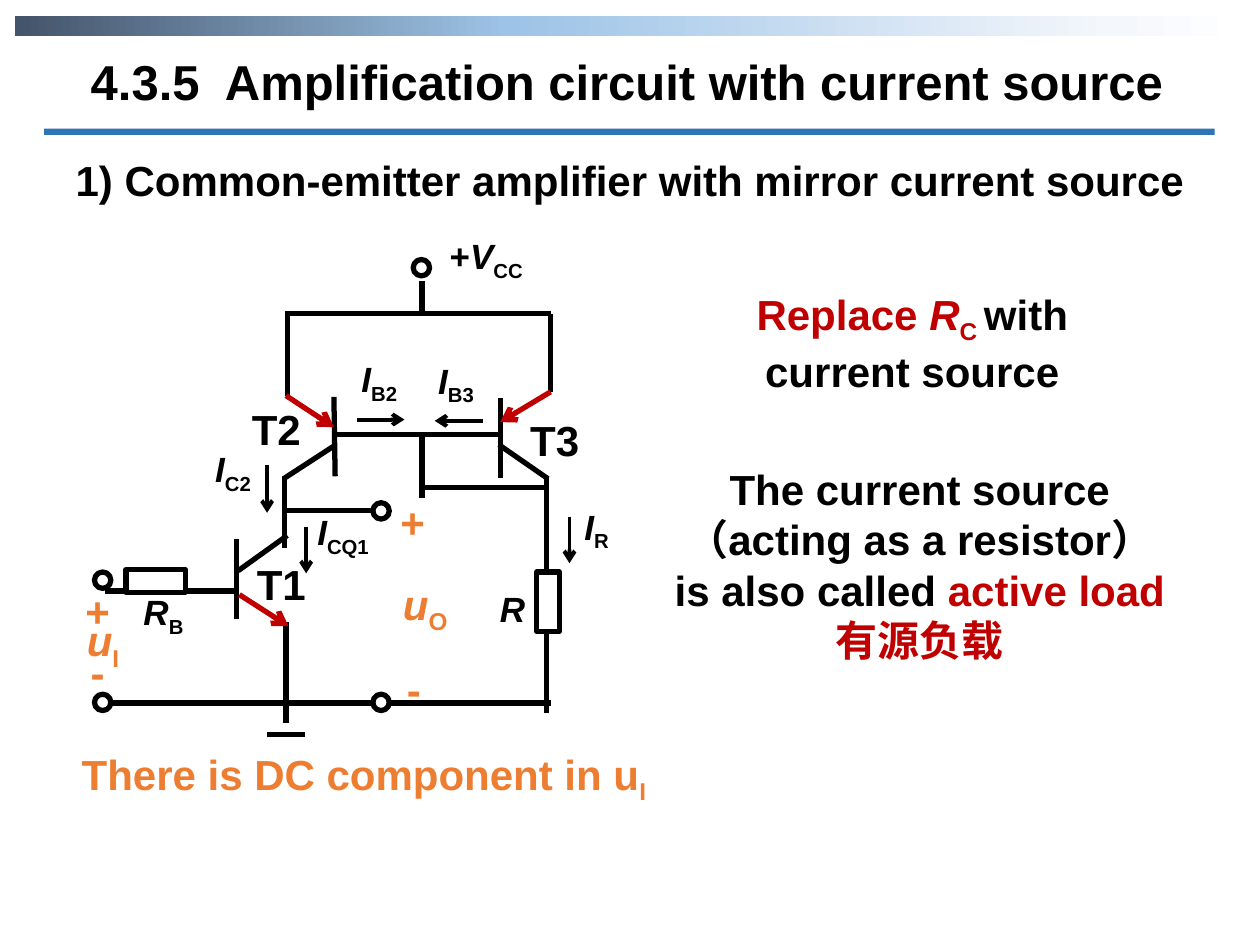
from copy import deepcopy
from dataclasses import dataclass

from lxml.etree import SubElement
from pptx import Presentation
from pptx.dml.color import RGBColor
from pptx.enum.shapes import MSO_CONNECTOR, MSO_SHAPE
from pptx.enum.text import MSO_ANCHOR, MSO_AUTO_SIZE, PP_ALIGN
from pptx.oxml.ns import qn
from pptx.util import Inches, Pt


@dataclass(frozen=True)
class Theme:
    black: RGBColor = RGBColor(0, 0, 0)
    white: RGBColor = RGBColor(255, 255, 255)
    red: RGBColor = RGBColor(0xC0, 0, 0)
    orange: RGBColor = RGBColor(0xED, 0x7D, 0x31)
    blue: RGBColor = RGBColor(0x2E, 0x75, 0xB6)
    band: tuple = ((0, "44546A"), (0.4, "9DC3E6"), (0.89, "F4F7FC"), (1, "FFFFFF"))
    font: str = "Arial"
    chinese_font: str = "Noto Sans CJK SC"
    title: Pt = Pt(28)
    text: Pt = Pt(24)
    label: Pt = Pt(20)
    wire: Pt = Pt(3)
    arrow: Pt = Pt(2.25)


theme = Theme()
ITALIC = {"italic": True}
SUB = {"baseline": "-25000"}


def write(box, place, runs, size, color=theme.black, align=PP_ALIGN.LEFT):
    """Place a text box or placeholder and fill it with (text, format) runs."""
    box.left, box.top, box.width, box.height = (Inches(v) for v in place)
    frame = box.text_frame
    frame.word_wrap = True
    frame.auto_size = MSO_AUTO_SIZE.NONE
    frame.vertical_anchor = MSO_ANCHOR.TOP
    paragraph = frame.paragraphs[0]
    paragraph.alignment = align
    paragraph.space_before = Pt(0)
    for text, changes in runs:
        run = paragraph.add_run()
        run.text = text
        values = {"size": size, "bold": True, "italic": False, "name": theme.font} | changes
        run.font.color.rgb = values.pop("color", color)
        baseline = values.pop("baseline", None)
        for key, value in values.items():
            setattr(run.font, key, value)
        properties = run._r.get_or_add_rPr()
        SubElement(properties, qn("a:ea")).set("typeface", theme.chinese_font)
        if baseline:
            properties.set("baseline", baseline)


def add_line(start, end, color=theme.black, width=theme.wire, arrow=False):
    """Draw a straight line, with an arrowhead at its end if wanted."""
    line = slide.shapes.add_connector(
        MSO_CONNECTOR.STRAIGHT, *(Inches(v) for v in (*start, *end)))
    line.line.color.rgb = color
    line.line.width = width
    if arrow:
        SubElement(line.line._get_or_add_ln(), qn("a:tailEnd")).set("type", "arrow")
    SubElement(line._element.spPr, qn("a:effectLst"))


presentation = Presentation()
presentation.slide_width, presentation.slide_height = Inches(10), Inches(7.5)
slide = presentation.slides.add_slide(presentation.slide_layouts[1])
title, heading = slide.placeholders

# Gradient band at the top and rule below the title
band = slide.shapes.add_shape(
    MSO_SHAPE.RECTANGLE, Inches(0.12), Inches(0.13), Inches(9.76), Inches(0.16))
rule = slide.shapes.add_shape(
    MSO_SHAPE.RECTANGLE, Inches(0.35), Inches(1.02), Inches(9.29), Inches(0.05))
for bar in (band, rule):
    bar.shadow.inherit = False
    bar.line.fill.background()
rule.fill.solid()
rule.fill.fore_color.rgb = theme.blue
band.fill.gradient()
band.fill.gradient_angle = 0
stop_list = band._element.spPr.find(".//" + qn("a:gsLst"))
while len(stop_list) < len(theme.band):
    stop_list.append(deepcopy(stop_list[0]))
for stop, (position, color) in zip(band.fill.gradient_stops, theme.band):
    stop.position = position
    stop.color.rgb = RGBColor.from_string(color)

# Title and heading
write(title, (0.58, 0.36, 8.79, 0.57),
      [("4.3.5  Amplification circuit with current source", {})],
      theme.title, align=PP_ALIGN.CENTER)
write(heading, (0.5, 1.18, 9.11, 0.5),
      [("1) Common-emitter amplifier with mirror current source", {})],
      theme.text, align=PP_ALIGN.JUSTIFY)
heading_format = heading.text_frame.paragraphs[0]._p.get_or_add_pPr()
heading_format.set("marL", "0")
heading_format.set("indent", "0")
SubElement(heading_format, qn("a:buNone"))

# Wires
wires = [
    ((3.35, 2.23), (3.35, 2.48)),  # supply
    ((4.37, 2.49), (2.26, 2.49)),
    ((2.28, 2.49), (2.28, 3.14)),
    ((4.37, 2.49), (4.37, 3.11)),
    ((2.65, 3.15), (2.66, 3.78)),  # T2
    ((2.25, 3.80), (2.65, 3.54)),
    ((3.97, 3.16), (3.97, 3.79)),  # T3
    ((4.35, 3.80), (3.96, 3.53)),
    ((3.97, 3.45), (2.65, 3.45)),  # mirror
    ((3.35, 3.45), (3.35, 3.95)),
    ((4.35, 3.87), (3.35, 3.87)),
    ((1.88, 4.28), (1.88, 4.91)),  # T1
    ((2.28, 4.25), (1.89, 4.53)),
    ((2.26, 3.78), (2.26, 4.35)),
    ((2.27, 4.94), (2.27, 5.74)),
    ((1.88, 4.69), (0.83, 4.69)),  # input
    ((2.96, 4.05), (2.26, 4.05)),  # output
    ((4.34, 3.79), (4.34, 5.66)),  # reference branch
    ((4.37, 5.58), (0.83, 5.58)),  # ground
    ((2.12, 5.83), (2.42, 5.83)),
]
for start, end in wires:
    add_line(start, end)

# Emitters of T2, T3 and T1
emitters = [((2.27, 3.14), (2.65, 3.39)), ((4.37, 3.11), (3.97, 3.35)),
            ((1.90, 4.72), (2.29, 4.97))]
for start, end in emitters:
    add_line(start, end, theme.red, arrow=True)

# Current directions
currents = [((4.52, 4.10), (4.52, 4.47)), ((2.12, 3.69), (2.12, 4.07)),
            ((2.43, 4.18), (2.43, 4.55)), ((2.83, 3.33), (3.21, 3.33)),
            ((3.83, 3.34), (3.45, 3.34))]
for start, end in currents:
    add_line(start, end, width=theme.arrow, arrow=True)

# Resistors and terminals
terminals = [(3.28, 2.06), (0.75, 4.54), (0.75, 5.51), (2.96, 3.99), (2.96, 5.51)]
parts = [(MSO_SHAPE.RECTANGLE, (4.26, 4.54, 0.18, 0.47)),
         (MSO_SHAPE.RECTANGLE, (1.0, 4.52, 0.47, 0.18))]
parts += [(MSO_SHAPE.OVAL, (x, y, 0.13, 0.13)) for x, y in terminals]
for outline, place in parts:
    part = slide.shapes.add_shape(outline, *(Inches(v) for v in place))
    part.shadow.inherit = False
    part.fill.solid()
    part.fill.fore_color.rgb = theme.white
    part.line.color.rgb = theme.black
    part.line.width = theme.wire

# Circuit labels
small, large = (theme.label, theme.black), (theme.text, theme.black)
signal = (theme.text, theme.orange)
labels = [
    ((3.47, 1.81, 0.87, 0.52), [("+", {}), ("V", ITALIC), ("CC", SUB)], small),
    ((2.77, 2.79, 0.54, 0.52), [("I", ITALIC), ("B2", SUB)], small),
    ((3.38, 2.80, 0.54, 0.52), [("I", ITALIC), ("B3", SUB)], small),
    ((1.61, 3.50, 0.54, 0.52), [("I", ITALIC), ("C2", SUB)], small),
    ((2.42, 4.00, 0.70, 0.52), [("I", ITALIC), ("CQ1", SUB)], small),
    ((4.54, 3.96, 0.58, 0.52), [("I", ITALIC), ("R", SUB)], small),
    ((1.04, 4.64, 0.69, 0.52), [("R", ITALIC), ("B", SUB)], small),
    ((3.87, 4.61, 0.43, 0.44), [("R", ITALIC)], small),
    ((1.94, 4.38, 0.64, 0.50), [("T1", {})], large),
    ((1.90, 3.15, 0.64, 0.50), [("T2", {})], large),
    ((4.11, 3.24, 0.64, 0.50), [("T3", {})], large),
    ((0.58, 4.60, 0.64, 0.50), [("+", {})], signal),
    ((0.59, 4.83, 0.52, 0.59), [("u", ITALIC), ("I", SUB)], signal),
    ((0.62, 5.08, 0.41, 0.50), [("-", {})], signal),
    ((3.08, 3.89, 0.64, 0.50), [("+", {})], signal),
    ((3.10, 4.54, 0.64, 0.59), [("u", ITALIC), ("O", SUB)], signal),
    ((3.13, 5.22, 0.41, 0.50), [("-", {})], signal),
]
for place, runs, (size, color) in labels:
    write(slide.shapes.add_textbox(0, 0, 0, 0), place, runs, size, color)

# Remarks
RED = {"color": theme.red}
remarks = [
    ((0.55, 5.89, 4.84, 0.59), PP_ALIGN.JUSTIFY, theme.orange,
     [("There is DC component in u", {}), ("I", SUB)]),
    ((5.38, 2.24, 3.72, 0.97), PP_ALIGN.CENTER, theme.black,
     [("Replace ", RED), ("R", RED | ITALIC), ("C ", RED | SUB),
      ("with current source", {})]),
    ((5.24, 3.63, 4.12, 1.66), PP_ALIGN.CENTER, theme.black,
     [("The current source （acting as a resistor） is also called ", {}),
      ("active load ", RED), ("有源负载", RED | {"name": theme.chinese_font})]),
]
for place, align, color, runs in remarks:
    write(slide.shapes.add_textbox(0, 0, 0, 0), place, runs, theme.text, color, align)

presentation.save("out.pptx")
